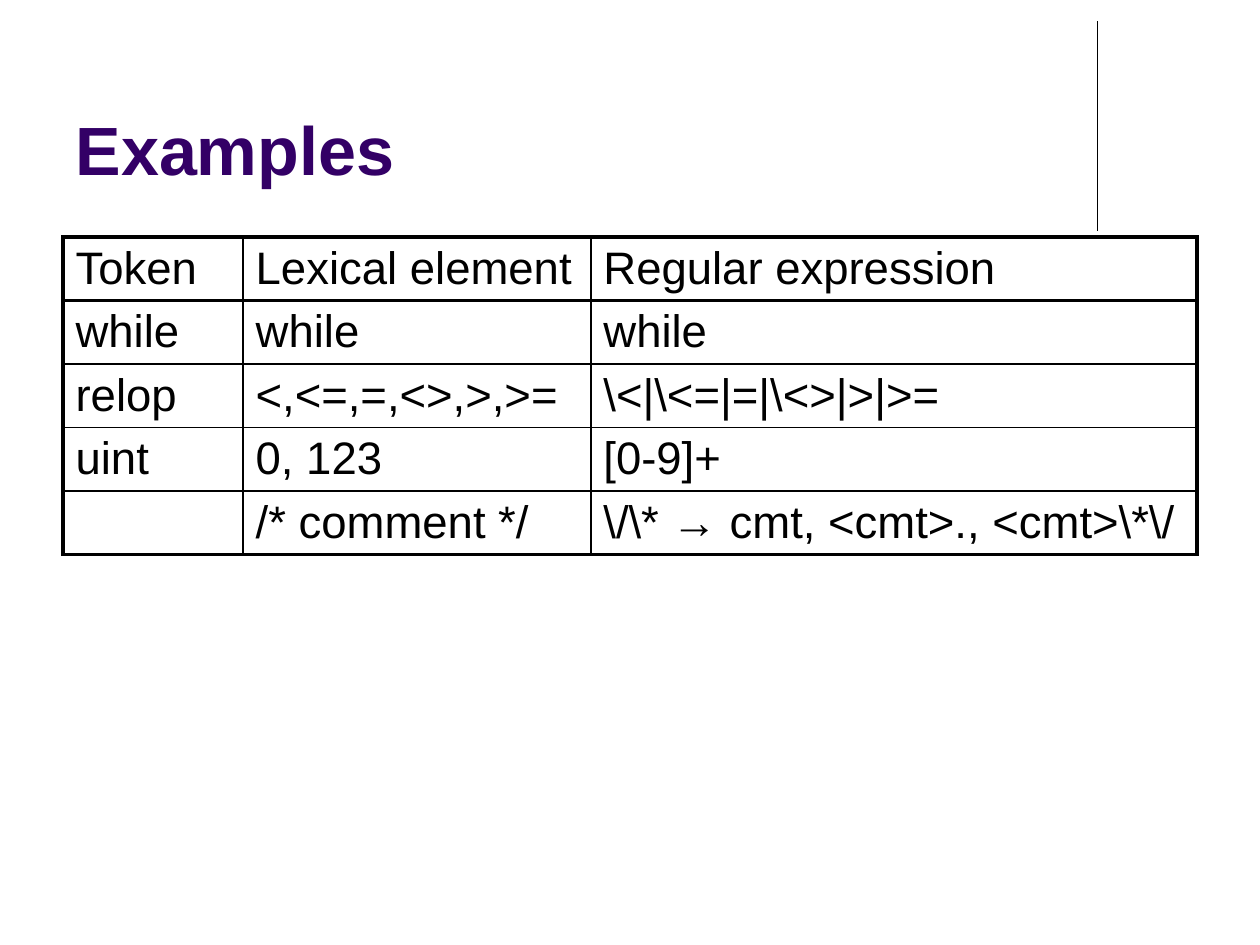
"""Build a slide with a table of token examples."""
from lxml.etree import SubElement
from pptx import Presentation
from pptx.dml.color import RGBColor as Rgb
from pptx.enum.shapes import MSO_CONNECTOR as Link
from pptx.enum.text import MSO_ANCHOR as Anchor, MSO_AUTO_SIZE as Fit, PP_ALIGN as Align
from pptx.oxml.ns import qn
from pptx.util import Cm, Pt

COLORS = {"title": "330066", "ink": "000000"}
WIDTHS = [3.63, 7.01, 12.22]
ROWS = [
    ["Token", "Lexical element", "Regular expression"],
    ["while", "while", "while"],
    ["relop", "<,<=,=,<>,>,>=", r"\<|\<=|=|\<>|>|>="],
    ["uint", "0, 123", "[0-9]+"],
    ["", "/* comment */", r"\/\* → cmt, <cmt>., <cmt>\*\/"],
]
THICK, THIN = 2.25, 1


def style(para, size, color, bold=False):
    font = para.font
    font.name, font.size, font.bold = "Arial", Pt(size), bold
    font.color.rgb = Rgb.from_string(COLORS[color])


def add_title(slide, text):
    title = slide.shapes.title
    title.left, title.top = Cm(1.27), Cm(0.33)
    title.width, title.height = Cm(20.96), Cm(3.61)
    frame = title.text_frame
    frame.text = text
    frame.auto_size, frame.word_wrap = Fit.NONE, True
    frame.vertical_anchor = Anchor.BOTTOM
    para = frame.paragraphs[0]
    para.alignment = Align.LEFT
    style(para, 39, "title", True)


def add_rule(slide, x, top, end):
    rule = slide.shapes.add_connector(Link.STRAIGHT, Cm(x), Cm(top), Cm(x), Cm(end))
    rule.line.width = Pt(0.75)
    rule.line.color.rgb = Rgb.from_string(COLORS["ink"])
    SubElement(rule._element.spPr, qn("a:effectLst"))


def set_edges(cell, edges):
    props = cell._tc.get_or_add_tcPr()
    for spot, (side, width) in enumerate(edges.items()):
        line = SubElement(props, qn(f"a:ln{side}"), w=str(Pt(width)))
        fill = SubElement(line, qn("a:solidFill"))
        SubElement(fill, qn("a:srgbClr"), val=COLORS["ink"])
        props.remove(line)
        props.insert(spot, line)


def fill_cell(cell, text):
    cell.fill.background()
    cell.margin_top, cell.margin_bottom = Cm(0.12), Cm(0.1)
    cell.text = text
    style(cell.text_frame.paragraphs[0], 26, "ink")


def add_grid(slide, left, top, height):
    count, span = len(ROWS), len(WIDTHS)
    table = slide.shapes.add_table(
        count, span, Cm(left), Cm(top), Cm(sum(WIDTHS)), Cm(height * count)
    ).table
    table.first_row = table.horz_banding = False
    for col, width in zip(table.columns, WIDTHS):
        col.width = Cm(width)
    for r, texts in enumerate(ROWS):
        table.rows[r].height = Cm(height)
        for c, text in enumerate(texts):
            cell = table.cell(r, c)
            fill_cell(cell, text)
            set_edges(cell, {
                "L": THICK if c == 0 else THIN,
                "R": THICK if c == span - 1 else THIN,
                "T": THICK if r < 2 else THIN,
                "B": THICK if r in (0, count - 1) else THIN,
            })


def main():
    deck = Presentation()
    deck.slide_width, deck.slide_height = Cm(25.4), Cm(19.05)
    slide = deck.slides.add_slide(deck.slide_layouts[5])
    add_rule(slide, 22.12, 0.43, 4.65)
    add_title(slide, "Examples")
    add_grid(slide, 1.27, 4.78, 1.28)
    deck.save("out.pptx")


if __name__ == "__main__":
    main()
